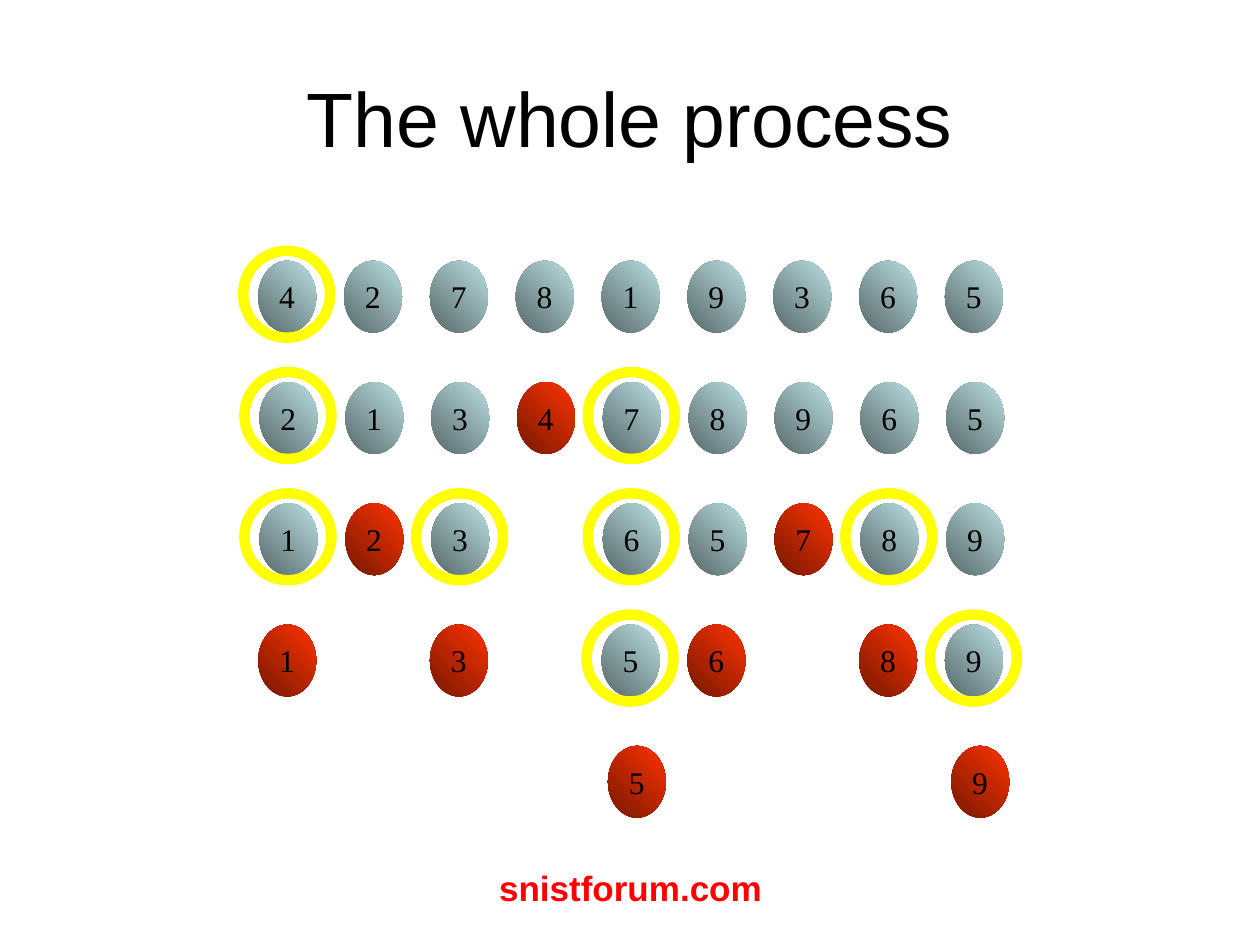
from pptx import Presentation
from pptx.dml.color import RGBColor
from pptx.enum.shapes import MSO_SHAPE as Shape
from pptx.enum.text import MSO_ANCHOR as Anchor, MSO_AUTO_SIZE as AutoSize, PP_ALIGN as Align
from pptx.util import Inches, Pt

TITLE = "The whole process"
FOOTER = "snistforum.com"
STEPS = [
    {"left": 2.05, "values": "427819365", "pivots": "4", "settled": ""},
    {"left": 2.06, "values": "213478965", "pivots": "27", "settled": "4"},
    {"left": 2.06, "values": "123 65789", "pivots": "1368", "settled": "27"},
    {"left": 2.05, "values": "1 3 56 89", "pivots": "59", "settled": "1368"},
    {"left": 2.10, "values": "    5   9", "pivots": "", "settled": "59"},
]
OPEN_COLORS = ("576869", "BBE0E3")
SETTLED_COLORS = ("761800", "FF3300")
FIRST_TOP = 2.07
ROW_PITCH = (5.92 - FIRST_TOP) / 4
COLUMN_PITCH = (7.5 - 2.05) / 8
RING_DX, RING_DY, RING_SIZE = 0.12, 0.08, 0.69


def set_color(color_format, value):
    """Apply a hex colour to a colour format."""
    color_format.rgb = RGBColor.from_string(value)


def format_text(frame, font_name, size, color, align=None, bold=False):
    """Format the only paragraph of a text frame."""
    paragraph = frame.paragraphs[0]
    paragraph.alignment = align
    font = paragraph.runs[0].font
    font.name, font.size, font.bold = font_name, Pt(size), bold
    set_color(font.color, color)


def add_ellipse(slide, left, top, width, height):
    """Add an ellipse without a shadow."""
    ellipse = slide.shapes.add_shape(
        Shape.OVAL, Inches(left), Inches(top), Inches(width), Inches(height))
    ellipse.shadow.inherit = False
    return ellipse


def add_value(slide, value, left, top, colors):
    """Add one array value on a shaded ellipse."""
    ball = add_ellipse(slide, left, top, 0.46, 0.57)
    ball.line.fill.background()
    ball.fill.gradient()
    ball.fill.gradient_angle = 45
    for stop, position, color in zip(ball.fill.gradient_stops, (0, 1), colors):
        stop.position = position
        set_color(stop.color, color)
    frame = ball.text_frame
    frame.text = value
    frame.word_wrap = False
    frame.auto_size = AutoSize.SHAPE_TO_FIT_TEXT
    frame.vertical_anchor = Anchor.TOP
    format_text(frame, "Times New Roman", 18, "000000", Align.LEFT)


def add_pivot_ring(slide, left, top):
    """Circle the pivot whose ellipse starts at left, top."""
    ring = add_ellipse(slide, left - RING_DX, top - RING_DY, RING_SIZE, RING_SIZE)
    ring.fill.background()
    ring.line.width = Pt(6)
    set_color(ring.line.color, "FFFF00")


def add_step(slide, step, top):
    """Add one row of values, then the rings around its pivots."""
    cells = [(value, step["left"] + column * COLUMN_PITCH)
             for column, value in enumerate(step["values"]) if value != " "]
    for value, left in cells:
        colors = SETTLED_COLORS if value in step["settled"] else OPEN_COLORS
        add_value(slide, value, left, top, colors)
    for value, left in cells:
        if value in step["pivots"]:
            add_pivot_ring(slide, left, top)


def main():
    """Build and save the slide."""
    deck = Presentation()
    deck.slide_width, deck.slide_height = Inches(10), Inches(7.5)
    slide = deck.slides.add_slide(deck.slide_layouts[5])

    title = slide.shapes.title
    title.left, title.top = Inches(0.5), Inches(0.3)
    title.width, title.height = Inches(9), Inches(1.25)
    title.text_frame.text = TITLE
    title.text_frame.vertical_anchor = Anchor.MIDDLE
    format_text(title.text_frame, "Arial", 44, "000000", Align.CENTER)

    for row, step in enumerate(STEPS):
        add_step(slide, step, FIRST_TOP + row * ROW_PITCH)

    footer = slide.shapes.add_textbox(Inches(3.42), Inches(6.83), Inches(3.17), Inches(0.52))
    footer.text_frame.word_wrap = True
    footer.text_frame.text = FOOTER
    format_text(footer.text_frame, "Arial", 20, "FF0000", Align.CENTER, bold=True)

    deck.save("out.pptx")


if __name__ == "__main__":
    main()
